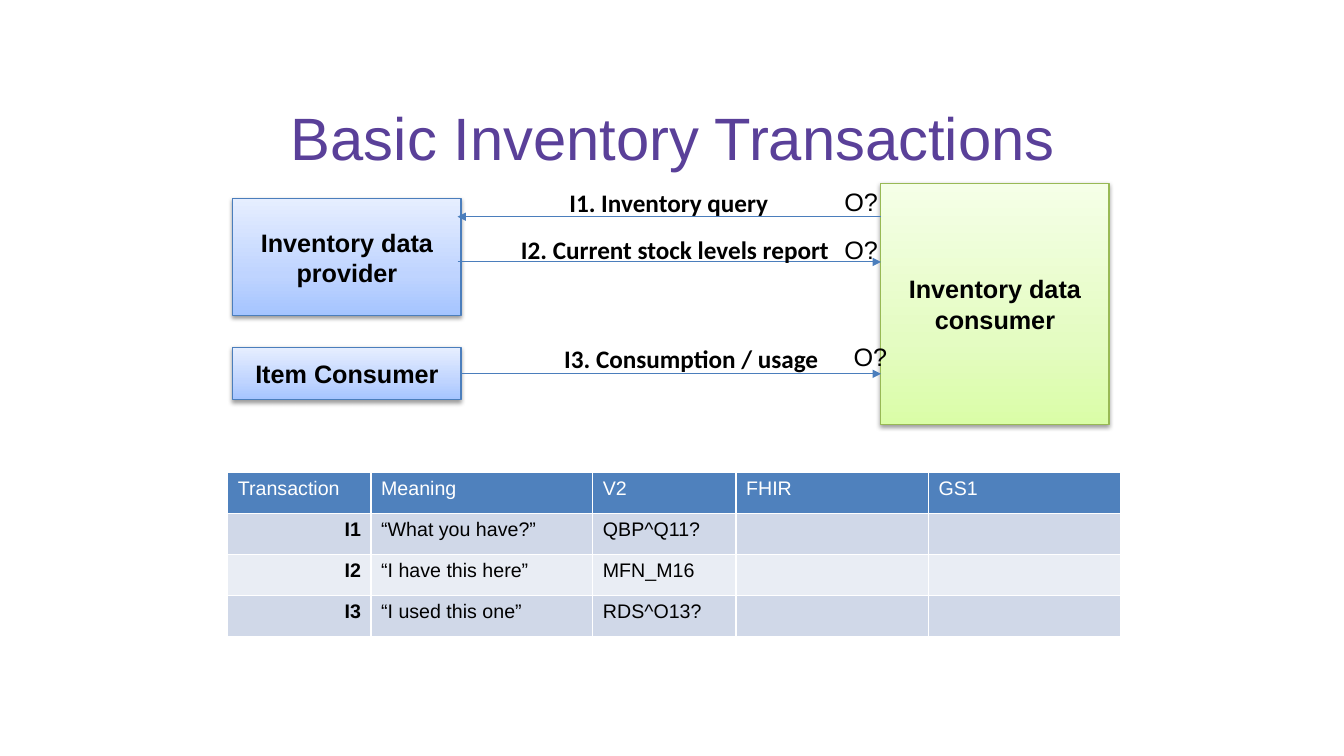
from lxml import etree
from pptx import Presentation
from pptx.dml.color import RGBColor
from pptx.enum.shapes import MSO_CONNECTOR as CONN, MSO_SHAPE as SHAPE
from pptx.enum.text import MSO_ANCHOR as ANCHOR, MSO_AUTO_SIZE as AUTO, PP_ALIGN as ALIGN
from pptx.oxml import parse_xml
from pptx.oxml.ns import nsdecls, qn
from pptx.util import Cm, Pt


def rgb(color):
    return RGBColor.from_string(color)


def write(tf, text, size=18, font="Arial", color="000000", bold=False, align=ALIGN.LEFT):
    p = tf.paragraphs[0]
    p.alignment = align
    r = p.add_run()
    r.text = text
    r.font.size, r.font.name, r.font.bold = Pt(size), font, bold
    r.font.color.rgb = rgb(color)


prs = Presentation()
prs.slide_width, prs.slide_height = Cm(33.87), Cm(19.05)
s = prs.slides.add_slide(prs.slide_layouts[5])

# Title
title = s.shapes.title
title.left, title.top, title.width, title.height = Cm(6.17), Cm(2.41), Cm(21.59), Cm(2.08)
title.text_frame.auto_size = AUTO.NONE
title.text_frame.vertical_anchor = ANCHOR.MIDDLE
write(title.text_frame, "Basic Inventory Transactions", size=42.7, color="5A4099", align=ALIGN.CENTER)

# Transaction table
rows = [
    ["Transaction", "Meaning", "V2", "FHIR", "GS1"],
    ["I1", "“What you have?”", "QBP^Q11?", "", ""],
    ["I2", "“I have this here”", "MFN_M16", "", ""],
    ["I3", "“I used this one”", "RDS^O13?", "", ""],
]
col_widths = [3.61, 5.59, 3.61, 4.85, 4.85]
table = s.shapes.add_table(len(rows), len(col_widths), Cm(5.74), Cm(11.91),
                           Cm(sum(col_widths)), Cm(4.12)).table
for col, width in zip(table.columns, col_widths):
    col.width = Cm(width)
for i, row in enumerate(rows):
    for j, text in enumerate(row):
        cell = table.cell(i, j)
        cell.fill.solid()
        cell.fill.fore_color.rgb = rgb("4F81BD" if i == 0 else "D0D8E8" if i % 2 else "E9EDF4")
        if text:
            is_code = i > 0 and j == 0
            write(cell.text_frame, text, size=14, color="000000" if i else "FFFFFF",
                  bold=is_code, align=ALIGN.RIGHT if is_code else ALIGN.LEFT)

# Actors
BLUE = ["A4C4FF", "BFD4FF", "E6EEFF"]
GREEN = ["DAFDA7", "E4FCC2", "F5FFE7"]
actors = [
    ("Inventory data provider", 5.87, 5.0, 2.96, BLUE, "4B7EBC"),
    ("Item Consumer", 5.87, 8.76, 1.32, BLUE, "4B7EBC"),
    ("Inventory data consumer", 22.2, 4.62, 6.08, GREEN, "98B955"),
]
for text, left, top, height, shades, outline in actors:
    sp = s.shapes.add_shape(SHAPE.RECTANGLE, Cm(left), Cm(top), Cm(5.75), Cm(height))
    sp.line.color.rgb = rgb(outline)
    sp.line.width = Pt(0.75)
    sp.shadow.inherit = False
    spPr = sp._element.spPr
    stops = "".join(f'<a:gs pos="{pos}"><a:srgbClr val="{shade}"/></a:gs>'
                    for pos, shade in zip((0, 35000, 100000), shades))
    spPr.find(qn("a:prstGeom")).addnext(parse_xml(
        f'<a:gradFill {nsdecls("a")}><a:gsLst>{stops}</a:gsLst><a:lin ang="16200000"/></a:gradFill>'))
    spPr.find(qn("a:effectLst")).append(parse_xml(
        f'<a:outerShdw {nsdecls("a")} blurRad="40000" dist="20000" dir="5400000" rotWithShape="0">'
        '<a:srgbClr val="000000"><a:alpha val="38000"/></a:srgbClr></a:outerShdw>'))
    sp.text_frame.word_wrap = True
    sp.text_frame.vertical_anchor = ANCHOR.MIDDLE
    write(sp.text_frame, text, bold=True, align=ALIGN.CENTER)

# Messages between the actors
for start, end, y in [(22.2, 11.53, 5.46), (11.53, 22.2, 6.6), (11.61, 22.2, 9.42)]:
    arrow = s.shapes.add_connector(CONN.STRAIGHT, Cm(start), Cm(y), Cm(end), Cm(y))
    arrow.line.color.rgb = rgb("4B7EBC")
    arrow.line.width = Pt(0.75)
    etree.SubElement(arrow.line._get_or_add_ln(), qn("a:tailEnd"), type="triangle")
    etree.SubElement(arrow._element.spPr, qn("a:effectLst"))

labels = [
    ("I1. Inventory query", 14.1, 4.6, 5.56, "Calibri"),
    ("I2. Current stock levels report", 12.88, 5.77, 8.33, "Calibri"),
    ("I3. Consumption / usage", 13.97, 8.53, 6.96, "Calibri"),
    ("O?", 21.03, 4.57, 1.37, "Arial"),
    ("O?", 21.03, 5.77, 1.37, "Arial"),
    ("O?", 21.26, 8.48, 1.37, "Arial"),
]
for text, left, top, width, font in labels:
    tf = s.shapes.add_textbox(Cm(left), Cm(top), Cm(width), Cm(1.02)).text_frame
    tf.word_wrap = False
    tf.auto_size = AUTO.SHAPE_TO_FIT_TEXT
    write(tf, text, font=font, bold=font == "Calibri")

prs.save("out.pptx")
